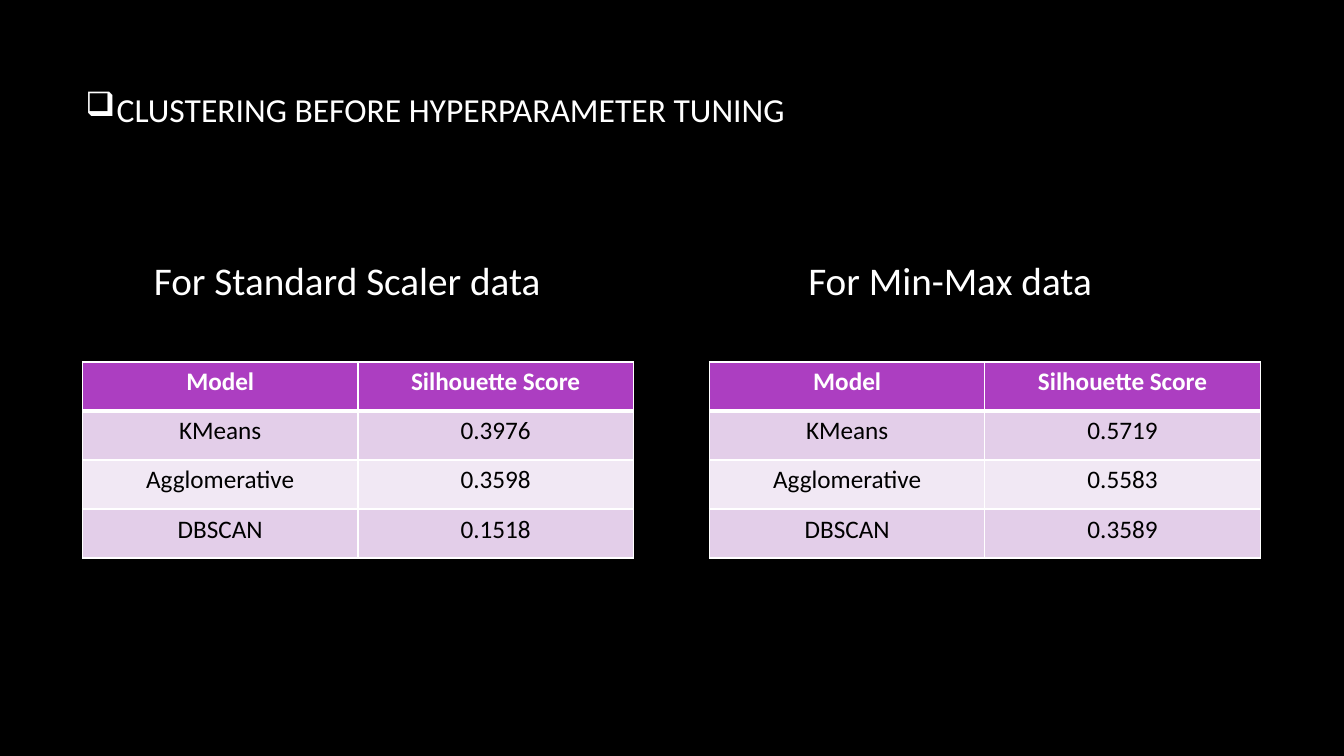
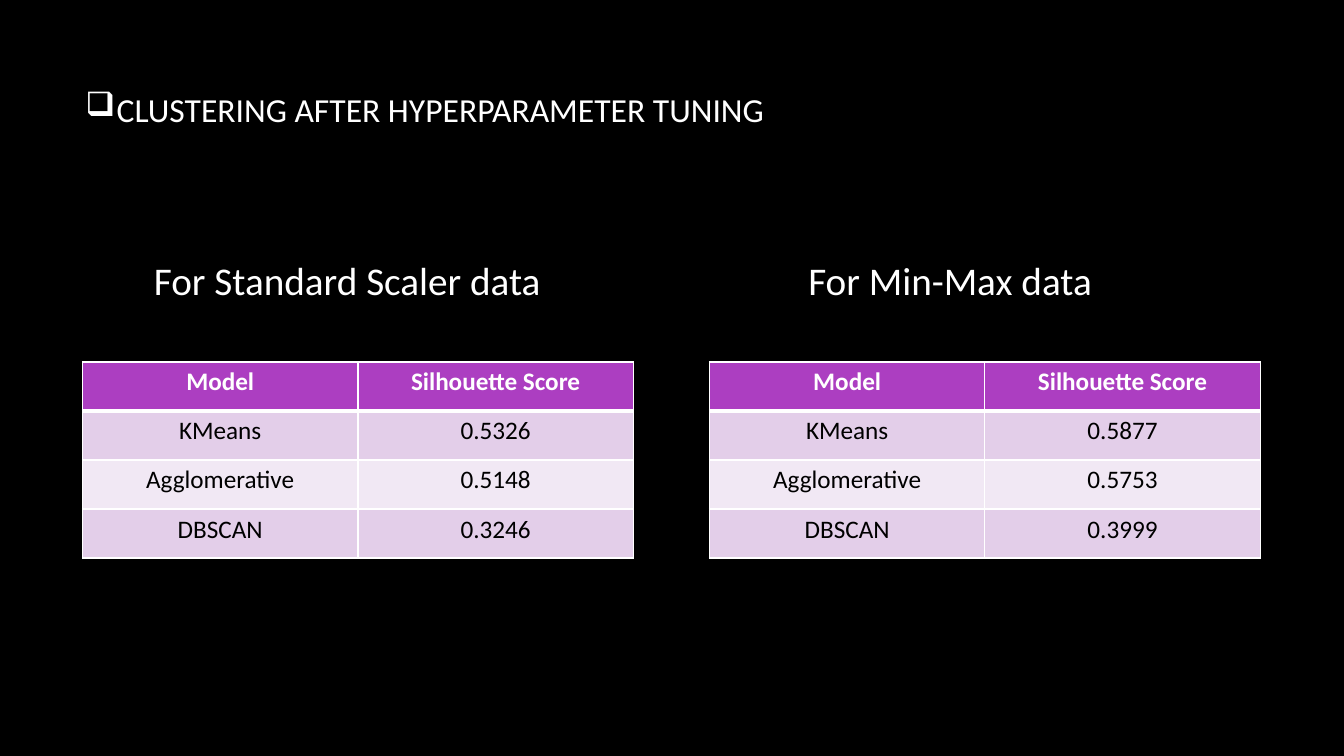
from lxml import etree
from pptx import Presentation
from pptx import util as u
from pptx.dml.color import RGBColor
from pptx.enum import text
from pptx.oxml import ns

COLORS = {
    "back": "000000",
    "light": "FFFFFF",
    "dark": "000000",
    "header": "AC3EC1",
    "odd": "E3CEE9",
    "even": "F1E8F4",
}
MODELS = ["KMeans", "Agglomerative", "DBSCAN"]
PANELS = [
    ("For Standard Scaler data", 3.63, 13.31, 2.08),
    ("For Min-Max data", 20.12, 7.7, 17.88),
]
RESULTS = [
    ("CLUSTERING BEFORE HYPERPARAMETER TUNING",
     [["0.3976", "0.3598", "0.1518"], ["0.5719", "0.5583", "0.3589"]]),
    ("CLUSTERING AFTER HYPERPARAMETER TUNING",
     [["0.5326", "0.5148", "0.3246"], ["0.5877", "0.5753", "0.3999"]]),
]


class Deck:
    """Holds the presentation, its style and the current slide."""

    font = "Calibri"

    def __init__(self):
        self.prs = Presentation()
        self.prs.slide_width = u.Cm(33.87)
        self.prs.slide_height = u.Cm(19.05)
        self.s = None

    def color(self, name):
        return RGBColor.from_string(COLORS[name])

    def slide(self):
        self.s = self.prs.slides.add_slide(self.prs.slide_layouts[6])
        fill = self.s.background.fill
        fill.solid()
        fill.fore_color.rgb = self.color("back")

    def style(self, p, size, color="light", bold=False):
        for r in p.runs:
            r.font.name = self.font
            r.font.size = u.Pt(size)
            r.font.bold = bold
            r.font.color.rgb = self.color(color)

    def textbox(self, value, left, top, width, height, size, anchor):
        sp = self.s.shapes.add_textbox(u.Cm(left), u.Cm(top), u.Cm(width), u.Cm(height))
        tf = sp.text_frame
        tf.word_wrap = True
        tf.vertical_anchor = anchor
        p = tf.paragraphs[0]
        p.text = value
        self.style(p, size)
        return p

    def title(self, value):
        p = self.textbox(value, 1.9, 2.11, 28.14, 4.04, 24, text.MSO_ANCHOR.TOP)
        pPr = p._p.get_or_add_pPr()
        pPr.set("marL", str(u.Cm(0.79)))
        pPr.set("indent", str(-u.Cm(0.79)))
        etree.SubElement(pPr, ns.qn("a:buChar"), char="❑")

    def heading(self, value, left, width):
        p = self.textbox(value, left, 6.17, width, 1.6, 28, text.MSO_ANCHOR.BOTTOM)
        p.space_after = u.Pt(10)

    def border(self, cell, side, width):
        tcPr = cell._tc.get_or_add_tcPr()
        ln = etree.SubElement(tcPr, ns.qn(f"a:ln{side}"), w=str(u.Pt(width)))
        fill = etree.SubElement(ln, ns.qn("a:solidFill"))
        etree.SubElement(fill, ns.qn("a:srgbClr"), val=COLORS["light"])

    def cell(self, cell, value, row):
        widths = {"L": 1, "R": 1, "T": 3 if row == 1 else 1, "B": 3 if row == 0 else 1}
        for side, width in widths.items():
            self.border(cell, side, width)
        cell.fill.solid()
        band = "header" if row == 0 else "odd" if row % 2 else "even"
        cell.fill.fore_color.rgb = self.color(band)
        p = cell.text_frame.paragraphs[0]
        p.text = value
        p.alignment = text.PP_ALIGN.CENTER
        self.style(p, 18, "dark" if row else "light", row == 0)

    def table(self, rows, left):
        sp = self.s.shapes.add_table(len(rows), len(rows[0]), u.Cm(left), u.Cm(9.12),
                                     u.Cm(13.88), u.Cm(4.94))
        for i, row in enumerate(rows):
            for j, value in enumerate(row):
                self.cell(sp.table.cell(i, j), value, i)


def main():
    deck = Deck()
    for title, score_lists in RESULTS:
        deck.slide()
        deck.title(title)
        for (heading, left, width, table_left), scores in zip(PANELS, score_lists):
            deck.heading(heading, left, width)
            deck.table([("Model", "Silhouette Score"), *zip(MODELS, scores)], table_left)
    deck.prs.save("out.pptx")


if __name__ == "__main__":
    main()
